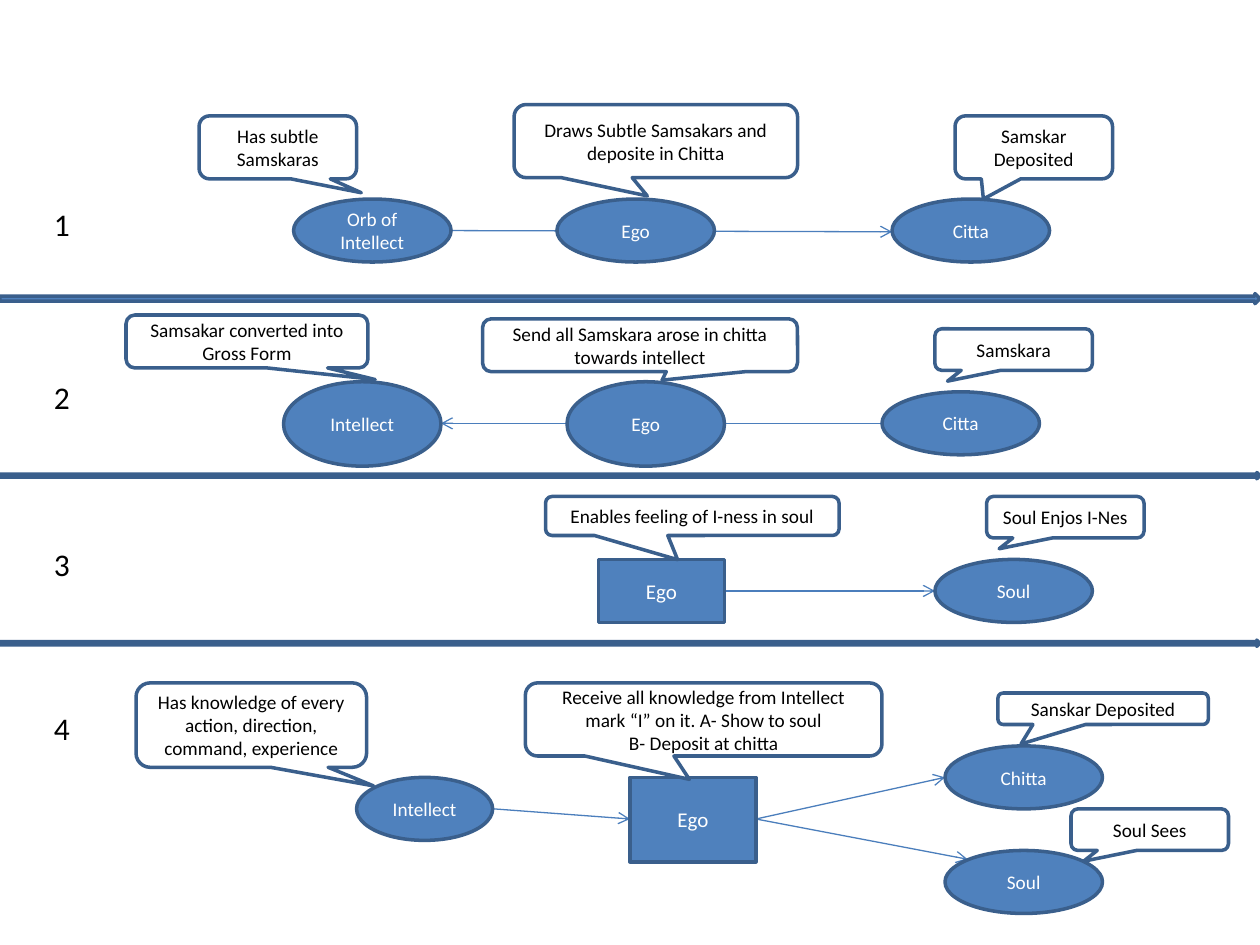
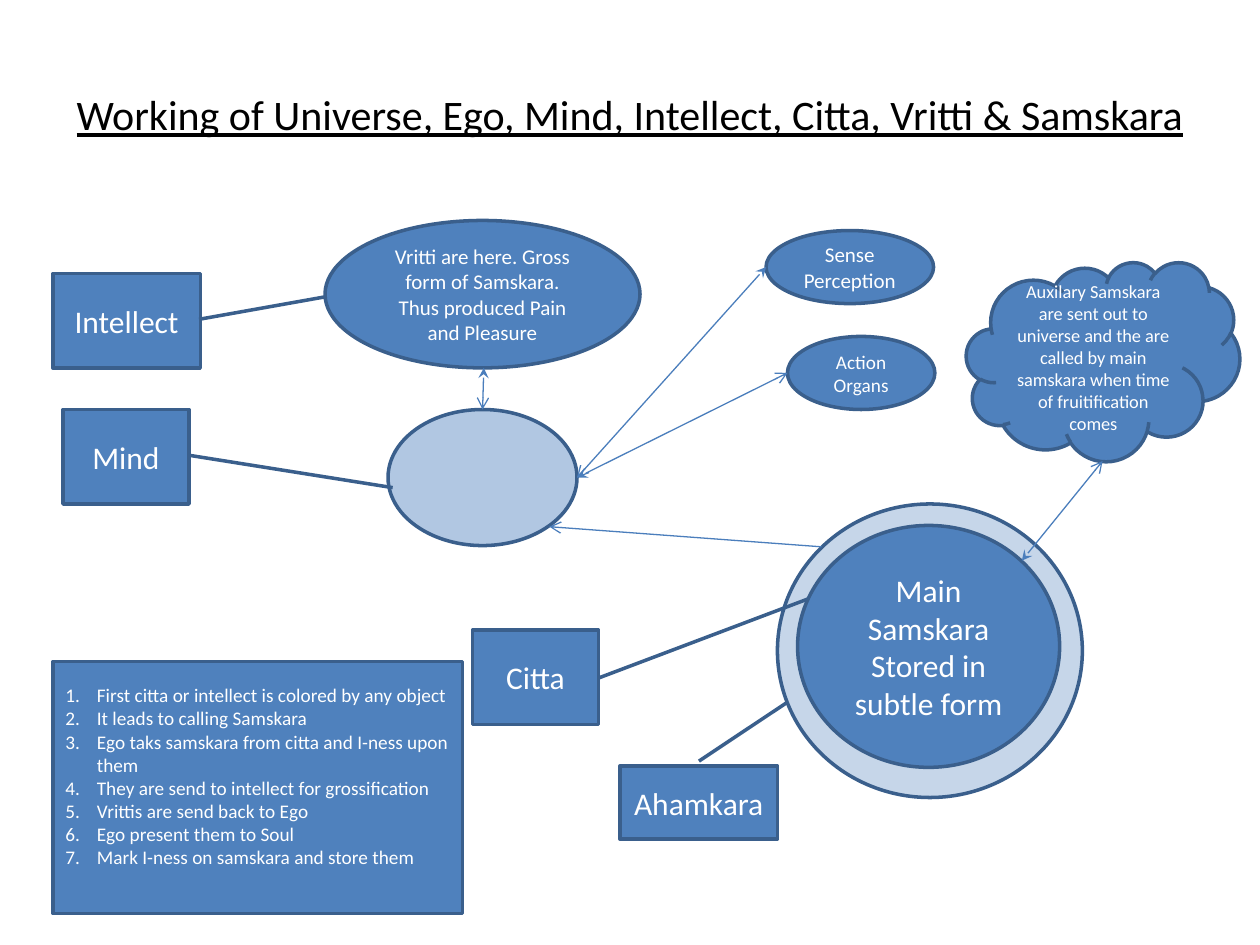
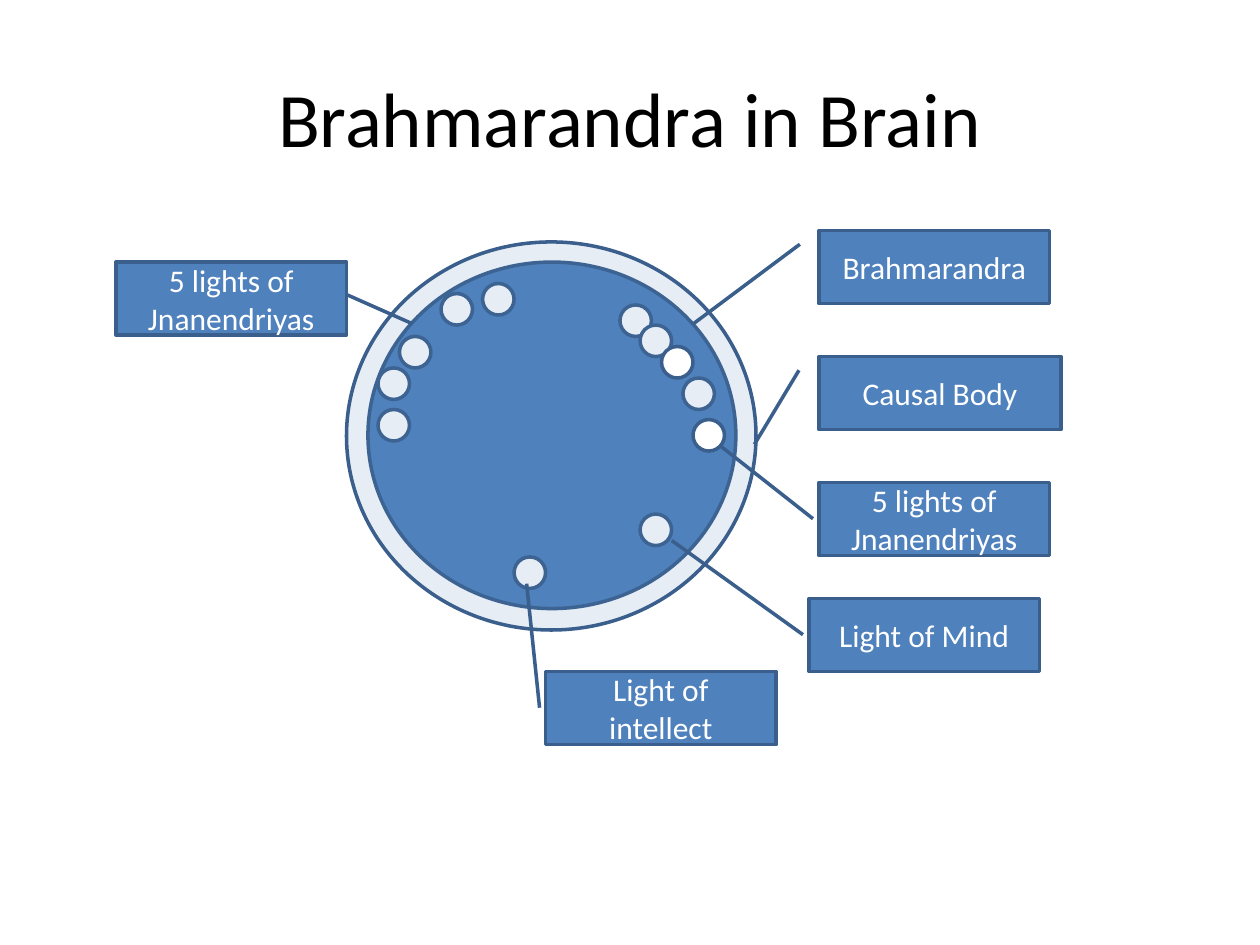
from lxml.etree import SubElement
from pptx import Presentation
from pptx.dml.color import RGBColor
from pptx.enum.shapes import MSO_CONNECTOR, MSO_SHAPE
from pptx.enum.text import MSO_ANCHOR, PP_ALIGN
from pptx.oxml.ns import qn
from pptx.util import Inches, Pt

BLUE = RGBColor(0x4F, 0x81, 0xBD)
DARK_BLUE = RGBColor(0x3A, 0x5F, 0x8C)
LINK_BLUE = RGBColor(0x4B, 0x7E, 0xBC)
WHITE = RGBColor(0xFF, 0xFF, 0xFF)
BLACK = RGBColor(0, 0, 0)
FONT = "Calibri"
LIGHT = 0.25


def write(tf, text, size=11, color=WHITE, align=PP_ALIGN.CENTER, anchor=MSO_ANCHOR.MIDDLE,
          wrap=True, underline=None, numbered=False):
    """Fill a text frame, one paragraph per line of text."""
    tf.word_wrap = wrap
    tf.vertical_anchor = anchor
    for i, line in enumerate(text.split("\n")):
        p = tf.paragraphs[0] if i == 0 else tf.add_paragraph()
        p.alignment = align
        if numbered:
            pPr = p._p.get_or_add_pPr()
            pPr.set("marL", str(Inches(0.25)))
            pPr.set("indent", str(-Inches(0.25)))
            SubElement(pPr, qn("a:buFont"), typeface="+mj-lt")
            SubElement(pPr, qn("a:buAutoNum"), type="arabicPeriod")
        r = p.add_run()
        r.text = line
        r.font.name = FONT
        r.font.size = Pt(size)
        r.font.color.rgb = color
        r.font.underline = underline


def add_text(slide, box, text, **fmt):
    """Add a text box."""
    sp = slide.shapes.add_textbox(*map(Inches, box))
    write(sp.text_frame, text, **fmt)


def add_shape(slide, kind, box, text="", fill=BLUE, opacity=None, adj=(), **fmt):
    """Add an outlined preset shape with optional text."""
    sp = slide.shapes.add_shape(kind, *map(Inches, box))
    sp.shadow.inherit = False
    sp.fill.solid()
    sp.fill.fore_color.rgb = fill
    sp.line.color.rgb = DARK_BLUE
    sp.line.width = Pt(2)
    for i, value in enumerate(adj):
        sp.adjustments[i] = value
    if opacity is not None:
        clr = sp._element.spPr.find(qn("a:solidFill"))[0]
        SubElement(clr, qn("a:alpha"), val=str(opacity * 1000))
    if text:
        write(sp.text_frame, text, **fmt)
    return sp


def add_oval(slide, box, text="", **fmt):
    """Add an ellipse."""
    return add_shape(slide, MSO_SHAPE.OVAL, box, text, **fmt)


def add_bubble(slide, box, text, dx, dy):
    """Add a white speech bubble whose tip is offset from its centre."""
    add_shape(slide, MSO_SHAPE.ROUNDED_RECTANGULAR_CALLOUT, box, text,
              fill=WHITE, color=BLACK, adj=(dx, dy, 0.167))


def add_label(slide, box, text, *adj):
    """Add a box with a leader line."""
    add_shape(slide, MSO_SHAPE.LINE_CALLOUT_1, box, text, size=18, adj=adj)


def add_arrow(slide, x1, y1, x2, y2, double=False):
    """Add a thin arrow, with a second head at its start if double."""
    cn = slide.shapes.add_connector(MSO_CONNECTOR.STRAIGHT, *map(Inches, (x1, y1, x2, y2)))
    cn.line.color.rgb = LINK_BLUE
    cn.line.width = Pt(0.75)
    ln = cn.line._get_or_add_ln()
    if double:
        SubElement(ln, qn("a:headEnd"), type="stealth")
    SubElement(ln, qn("a:tailEnd"), type="arrow")
    SubElement(cn._element.spPr, qn("a:effectLst"))


def build_stages(slide):
    """Draw the four stages between intellect, ego, citta and soul."""
    for line in [(3.58, 1.83, 7.08, 1.84), (7, 3.36, 3.5, 3.36), (5.75, 4.69, 7.42, 4.69),
                 (3.92, 6.42, 5, 6.5), (6, 6.5, 7.68, 6.82), (6, 6.5, 7.5, 6.17)]:
        add_arrow(slide, *line)
    for x, y, w, h, text in [
        (2.33, 1.58, 1.25, 0.5, "Orb of Intellect"),
        (4.42, 1.58, 1.25, 0.5, "Ego"),
        (7.08, 1.58, 1.25, 0.5, "Citta"),
        (2.25, 3.03, 1.25, 0.67, "Intellect"),
        (4.5, 3.03, 1.25, 0.67, "Ego"),
        (7, 3.11, 1.25, 0.5, "Citta"),
        (7.42, 4.44, 1.25, 0.5, "Soul"),
        (2.83, 6.17, 1.08, 0.5, "Intellect"),
        (7.5, 5.92, 1.25, 0.5, "Chitta"),
        (7.5, 6.75, 1.25, 0.5, "Soul"),
    ]:
        add_oval(slide, (x, y, w, h), text)
    for box in [(4.75, 4.44, 1, 0.5), (5, 6.17, 1, 0.67)]:
        add_shape(slide, MSO_SHAPE.RECTANGLE, box, "Ego", size=12)
    for box, text, dx, dy in [
        ((1.58, 0.92, 1.25, 0.5), "Has subtle Samskaras", 0.53, 0.72),
        ((4.08, 0.83, 2.25, 0.58), "Draws Subtle Samsakars and deposite in Chitta", -0.03, 0.75),
        ((7.58, 0.92, 1.25, 0.5), "Samskar Deposited", -0.32, 0.82),
        ((1, 2.5, 1.92, 0.42), "Samsakar converted into Gross Form", 0.53, 0.72),
        ((3.83, 2.53, 2.5, 0.42), "Send all Samskara arose in chitta towards intellect",
         0.07, 0.66),
        ((7.42, 2.61, 1.25, 0.33), "Samskara", -0.42, 0.76),
        ((4.33, 3.94, 2.33, 0.31), "Enables feeling of I-ness in soul", -0.05, 1.12),
        ((7.83, 3.94, 1.25, 0.33), "Soul Enjos I-Nes", -0.42, 0.76),
        ((1.08, 5.42, 1.83, 0.67),
         "Has knowledge of every action, direction, command, experience", 0.53, 0.72),
        ((4.17, 5.42, 2.83, 0.58),
         "Receive all knowledge from Intellect mark \u201cI\u201d on it. A- Show to soul\n"
         "B- Deposit at chitta", -0.04, 0.82),
        ((7.92, 5.5, 1.67, 0.25), "Sanskar Deposited", -0.39, 1.12),
        ((8.5, 6.42, 1.25, 0.33), "Soul Sees", -0.42, 0.76),
    ]:
        add_bubble(slide, box, text, dx, dy)
    for y, h in [(2.33, 0.08), (3.75, 0.05), (5.08, 0.05)]:
        add_shape(slide, MSO_SHAPE.RIGHT_ARROW, (0, y, 10, h))
    for number, y in enumerate([1.58, 2.95, 4.28, 5.58], 1):
        add_text(slide, (0.33, y, 0.33, 0.4), str(number), size=18, color=BLACK,
                 align=PP_ALIGN.LEFT, anchor=MSO_ANCHOR.TOP, wrap=False)


def build_working(slide):
    """Draw how mind, intellect and citta exchange samskara."""
    add_oval(slide, (3.08, 3.25, 1.5, 1.08), opacity=44)
    add_text(slide, (0.5, 0.47, 9, 0.87),
             "Working of Universe, Ego, Mind, Intellect, Citta, Vritti & Samskara",
             size=24, color=BLACK, underline=True)
    add_oval(slide, (6.17, 4, 2.42, 2.33), opacity=32)
    add_oval(slide, (2.58, 1.75, 2.5, 1.17),
             "Vritti are here. Gross form of Samskara. Thus produced Pain and Pleasure", size=12)
    add_label(slide, (3.75, 5, 1, 0.75), "Citta", 0.506, 1.006, -0.328, 2.661)
    add_label(slide, (4.92, 6.08, 1.25, 0.58), "Ahamkara", -0.068, 0.502, -0.871, 1.061)
    add_label(slide, (0.5, 3.25, 1, 0.75), "Mind", 0.486, 1.006, 0.827, 2.617)
    add_label(slide, (0.42, 2.17, 1.17, 0.75), "Intellect", 0.486, 0.991, 0.249, 1.843)
    add_oval(slide, (6.33, 4.17, 2.08, 1.92), "Main Samskara Stored in subtle form", size=18)
    add_oval(slide, (6.08, 1.83, 1.33, 0.58), "Sense Perception", size=12)
    add_oval(slide, (6.25, 2.67, 1.17, 0.58), "Action Organs")
    add_shape(slide, MSO_SHAPE.CLOUD, (7.67, 2.08, 2.17, 1.58),
              "Auxilary Samskara are sent out to universe and the are called by main "
              "samskara when time of fruitification comes", size=10.5)
    steps = add_shape(slide, MSO_SHAPE.RECTANGLE, (0.42, 5.25, 3.25, 2), "\n".join([
        "First citta or intellect is colored by any object",
        "It leads to calling Samskara",
        "Ego taks samskara from citta and I-ness upon them",
        "They are send to intellect for grossification",
        "Vrittis are send back to Ego",
        "Ego present them to Soul",
        "Mark I-ness on samskara and store them",
    ]), align=PP_ALIGN.LEFT, numbered=True)
    steps.text_frame.margin_bottom = Inches(0.23)
    add_arrow(slide, 6.52, 4.34, 4.36, 4.18)
    for line in [(6.08, 2.12, 4.58, 3.79), (4.58, 3.79, 6.25, 2.96),
                 (8.11, 4.45, 8.75, 3.66), (3.84, 2.92, 3.83, 3.25)]:
        add_arrow(slide, *line, double=True)


def build_brain(slide):
    """Draw the lights inside the causal body."""
    add_oval(slide, (2.92, 2.08, 2.92, 2.75))
    add_text(slide, (0.5, 0.3, 9, 1.25), "Brahmarandra in Brain", size=44, color=BLACK)
    veiled = [(3.17, 2.67), (3.5, 2.33), (3.83, 2.25), (3, 2.92), (4.92, 2.42),
              (3, 3.25), (4.08, 4.42), (5.08, 2.58), (5.42, 3), (5.08, 4.08)]
    for x, y in veiled:
        add_oval(slide, (x, y, LIGHT, LIGHT), fill=WHITE)
    add_oval(slide, (2.75, 1.92, 3.25, 3.08), opacity=14)
    for x, y in [(5.25, 2.75), (5.5, 3.33)]:
        add_oval(slide, (x, y, LIGHT, LIGHT), fill=WHITE)
    for x, y, w, text, *adj in [
        (6.5, 1.83, 1.83, "Brahmarandra", 0.188, -0.083, 1.279, -0.546),
        (6.5, 2.83, 1.92, "Causal Body", 0.188, -0.083, 1.202, -0.267),
        (0.92, 2.08, 1.83, "5 lights of Jnanendriyas", 0.443, 0.999, 0.844, 1.286),
        (6.5, 3.83, 1.83, "5 lights of Jnanendriyas", 0.495, -0.026, -0.513, -0.432),
        (6.42, 4.75, 1.83, "Light of Mind", 0.495, -0.026, -0.794, -0.595),
        (4.33, 5.33, 1.83, "Light of intellect", 0.495, -0.026, -1.203, -0.082),
    ]:
        add_label(slide, (x, y, w, 0.58), text, *adj)


def main():
    """Build the three slides and save them."""
    prs = Presentation()
    prs.slide_width, prs.slide_height = Inches(10), Inches(7.5)
    for build in (build_stages, build_working, build_brain):
        build(prs.slides.add_slide(prs.slide_layouts[6]))
    prs.save("out.pptx")


main()
